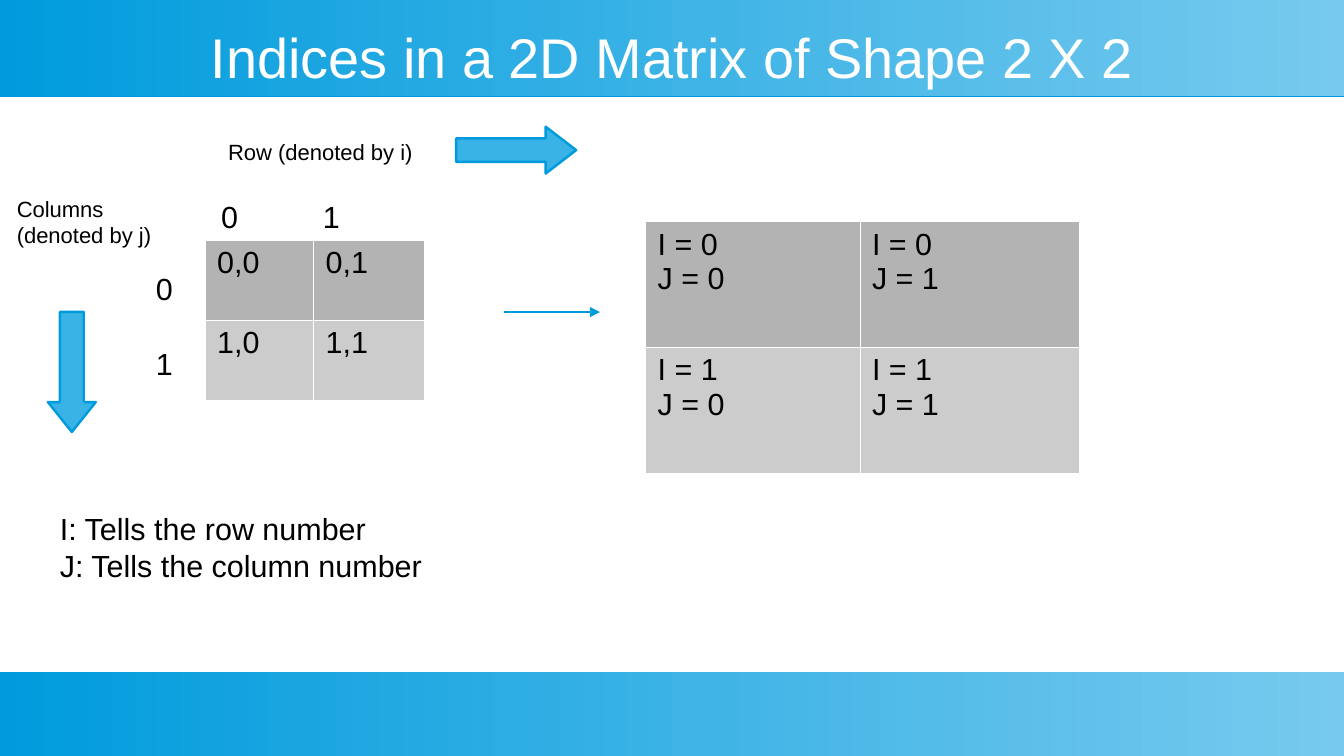
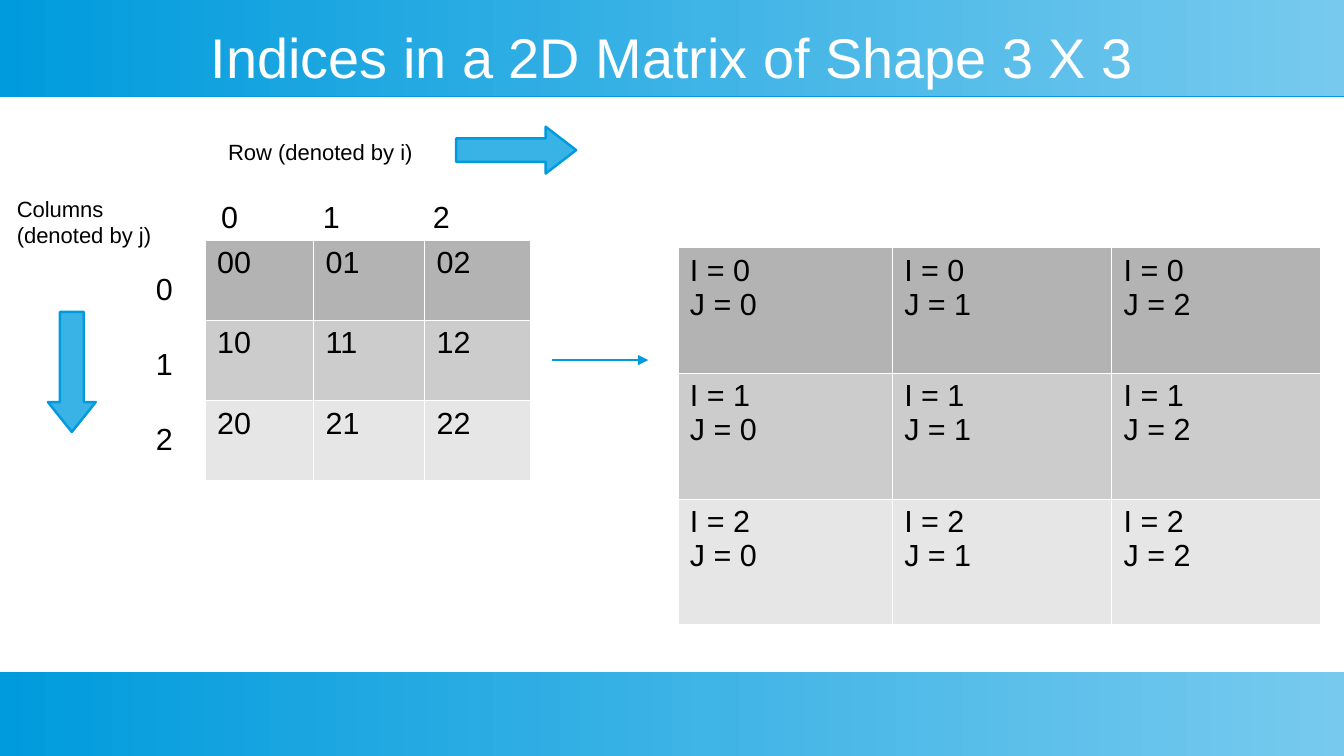
from dataclasses import dataclass
from typing import Any, Sequence

from lxml.etree import SubElement
from pptx import Presentation
from pptx.dml.color import RGBColor
from pptx.enum.shapes import MSO_CONNECTOR as Conn, MSO_SHAPE as Geo
from pptx.enum.text import MSO_ANCHOR as Anchor, PP_ALIGN as Align
from pptx.oxml.ns import qn
from pptx.util import Pt


@dataclass(frozen=True)
class Theme:
    font: str = "Arial"
    title_size: float = 33
    body_size: float = 18
    note_size: float = 13
    accent: str = "009BDD"
    accent_mid: str = "39B2E5"
    accent_light: str = "77CAEE"
    white: str = "FFFFFF"
    ink: str = "000000"
    rows: tuple[str, ...] = ("B3B3B3", "CCCCCC", "E6E6E6")
    line: float = 1.42
    border: float = 0.06


@dataclass(frozen=True)
class Box:
    x: float
    y: float
    w: float
    h: float

    def pts(self) -> tuple[Pt, ...]:
        return Pt(self.x), Pt(self.y), Pt(self.w), Pt(self.h)


@dataclass(frozen=True)
class Arrow:
    geo: Any
    box: Box
    head: float


@dataclass(frozen=True)
class Grid:
    x: float
    y: float
    cols: tuple[float, ...]
    row: float


@dataclass(frozen=True)
class MatrixSlide:
    n: int
    sep: str
    detail_x: float
    detail_y: float
    link_x: float
    link_y: float
    link_w: float
    notes: tuple[str, ...] = ()


T = Theme()
W, H = 793.5, 446.4
BANDS = (Box(0, 0, W, 56.7), Box(0, 396.8, W, 49.6))
TITLE = Box(28.3, 14.2, 737, 37.4)
ROW_NOTE = Box(127.6, 78.2, 167, 24)
COL_NOTE = Box(2.8, 111.6, 96, 68)
TOP_LABELS = Box(113.4, 113.2, 198.5, 27.4)
SIDE_LABELS = Box(85, 155.9, 28.4, 108)
LEGEND = Box(28.3, 297.6, 751, 47.5)
TOP_TABS = (60, 125)
SIDE_GAP = 22.7
ARROWS = (
    Arrow(Geo.DOWN_ARROW, Box(28.3, 184.2, 28.3, 70.9), 0.625),
    Arrow(Geo.RIGHT_ARROW, Box(269.3, 74.8, 70.9, 27.7), 0.65),
)
INDEX_COLS, INDEX_ROW = (64.1, 65.5, 62.6), 47.3
DETAIL_COLS, DETAIL_ROW = (126.6, 129.5, 123.2), 74.2
SLIDES = (
    MatrixSlide(2, ",", 381.1, 130.8, 297.6, 184.3, 56.7,
                ("I: Tells the row number", "J: Tells the column number")),
    MatrixSlide(3, "", 400.1, 146.1, 326, 212.6, 56.7),
)


def rgb(value: str) -> RGBColor:
    return RGBColor.from_string(value)


def write(tf: Any, lines: Sequence[str], size: float, color: str = T.ink,
          gap: float = 0, align: Any = Align.LEFT,
          tabs: Sequence[float] = ()) -> None:
    fmt = {"name": T.font, "size": Pt(size), "bold": False}
    for i, line in enumerate(lines):
        p = tf.paragraphs[0] if i == 0 else tf.add_paragraph()
        p.alignment = align
        if i and gap:
            p.space_before = Pt(gap)
        if tabs:
            stops = SubElement(p._p.get_or_add_pPr(), qn("a:tabLst"))
            for pos in tabs:
                SubElement(stops, qn("a:tab"), pos=str(Pt(pos)), algn="l")
        r = p.add_run()
        r.text = line
        for key, value in fmt.items():
            setattr(r.font, key, value)
        r.font.color.rgb = rgb(color)


def add_text(s: Any, box: Box, lines: Sequence[str], size: float,
             frame: dict[str, Any] | None = None, **style: Any) -> None:
    tf = s.shapes.add_textbox(*box.pts()).text_frame
    for key, value in {"word_wrap": True, **(frame or {})}.items():
        setattr(tf, key, value)
    write(tf, lines, size, **style)


def add_band(s: Any, box: Box) -> None:
    sp = s.shapes.add_shape(Geo.RECTANGLE, *box.pts())
    sp.fill.gradient()
    sp.fill.gradient_angle = 0
    for stop, color in zip(sp.fill.gradient_stops, (T.accent, T.accent_light)):
        stop.color.rgb = rgb(color)
    sp.line.fill.background()
    sp.shadow.inherit = False
    effects = sp._element.spPr.find(qn("a:effectLst"))
    shadow = SubElement(effects, qn("a:outerShdw"), dist=str(Pt(0.9)),
                        dir="5400000", rotWithShape="0")
    SubElement(shadow, qn("a:srgbClr"), val=T.accent)


def add_arrow(s: Any, arrow: Arrow) -> None:
    sp = s.shapes.add_shape(arrow.geo, *arrow.box.pts())
    sp.adjustments[0], sp.adjustments[1] = 0.5, arrow.head
    sp.fill.solid()
    sp.fill.fore_color.rgb = rgb(T.accent_mid)
    sp.line.color.rgb = rgb(T.accent)
    sp.line.width = Pt(T.line)
    sp.shadow.inherit = False


def add_link(s: Any, x: float, y: float, w: float) -> None:
    link = s.shapes.add_connector(Conn.STRAIGHT, Pt(x), Pt(y), Pt(x + w), Pt(y))
    link.line.color.rgb = rgb(T.accent)
    link.line.width = Pt(T.line)
    SubElement(link.line._get_or_add_ln(), qn("a:tailEnd"), type="triangle")
    SubElement(link._element.spPr, qn("a:effectLst"))


def add_borders(cell: Any) -> None:
    tc_pr = cell._tc.get_or_add_tcPr()
    for side in ("lnL", "lnR", "lnT", "lnB"):
        ln = SubElement(tc_pr, qn(f"a:{side}"), w=str(Pt(T.border)))
        fill = SubElement(ln, qn("a:solidFill"))
        SubElement(fill, qn("a:srgbClr"), val=T.white)


def add_grid(s: Any, grid: Grid, cells: list[list[list[str]]]) -> None:
    n = len(cells)
    box = Box(grid.x, grid.y, sum(grid.cols), grid.row * n)
    tbl = s.shapes.add_table(n, len(grid.cols), *box.pts()).table
    tbl.first_row = tbl.horz_banding = False
    for col, width in zip(tbl.columns, grid.cols):
        col.width = Pt(width)
    for row, color, texts in zip(tbl.rows, T.rows, cells):
        row.height = Pt(grid.row)
        for cell, lines in zip(row.cells, texts):
            add_borders(cell)
            cell.fill.solid()
            cell.fill.fore_color.rgb = rgb(color)
            write(cell.text_frame, lines, T.body_size)


def add_matrix_slide(prs: Any, m: MatrixSlide) -> None:
    s = prs.slides.add_slide(prs.slide_layouts[6])
    for band in BANDS:
        add_band(s, band)
    margins = ("margin_left", "margin_top", "margin_right", "margin_bottom")
    add_text(s, TITLE, [f"Indices in a 2D Matrix of Shape {m.n} X {m.n}"],
             T.title_size, color=T.white, align=Align.CENTER,
             frame={"vertical_anchor": Anchor.MIDDLE, **dict.fromkeys(margins, 0)})

    span = range(m.n)
    labels = [str(i) for i in span]
    add_grid(s, Grid(121, 141.8, INDEX_COLS[:m.n], INDEX_ROW),
             [[[f"{i}{m.sep}{j}"] for j in span] for i in span])
    add_text(s, ROW_NOTE, ["Row (denoted by i)"], T.note_size)
    add_text(s, COL_NOTE, ["Columns", "(denoted by j)"], T.note_size)
    for arrow in ARROWS:
        add_arrow(s, arrow)
    add_text(s, TOP_LABELS, ["\t".join(labels)], T.body_size,
             frame={"margin_left": Pt(17.2)}, tabs=TOP_TABS[:m.n - 1])
    add_text(s, SIDE_LABELS, labels, T.body_size, gap=SIDE_GAP)
    add_grid(s, Grid(m.detail_x, m.detail_y, DETAIL_COLS[:m.n], DETAIL_ROW),
             [[[f"I = {i}", f"J = {j}"] for j in span] for i in span])
    add_link(s, m.link_x, m.link_y, m.link_w)
    if m.notes:
        add_text(s, LEGEND, m.notes, T.body_size)


def main() -> None:
    prs = Presentation()
    prs.slide_width, prs.slide_height = Pt(W), Pt(H)
    for matrix in SLIDES:
        add_matrix_slide(prs, matrix)
    prs.save("out.pptx")


if __name__ == "__main__":
    main()
